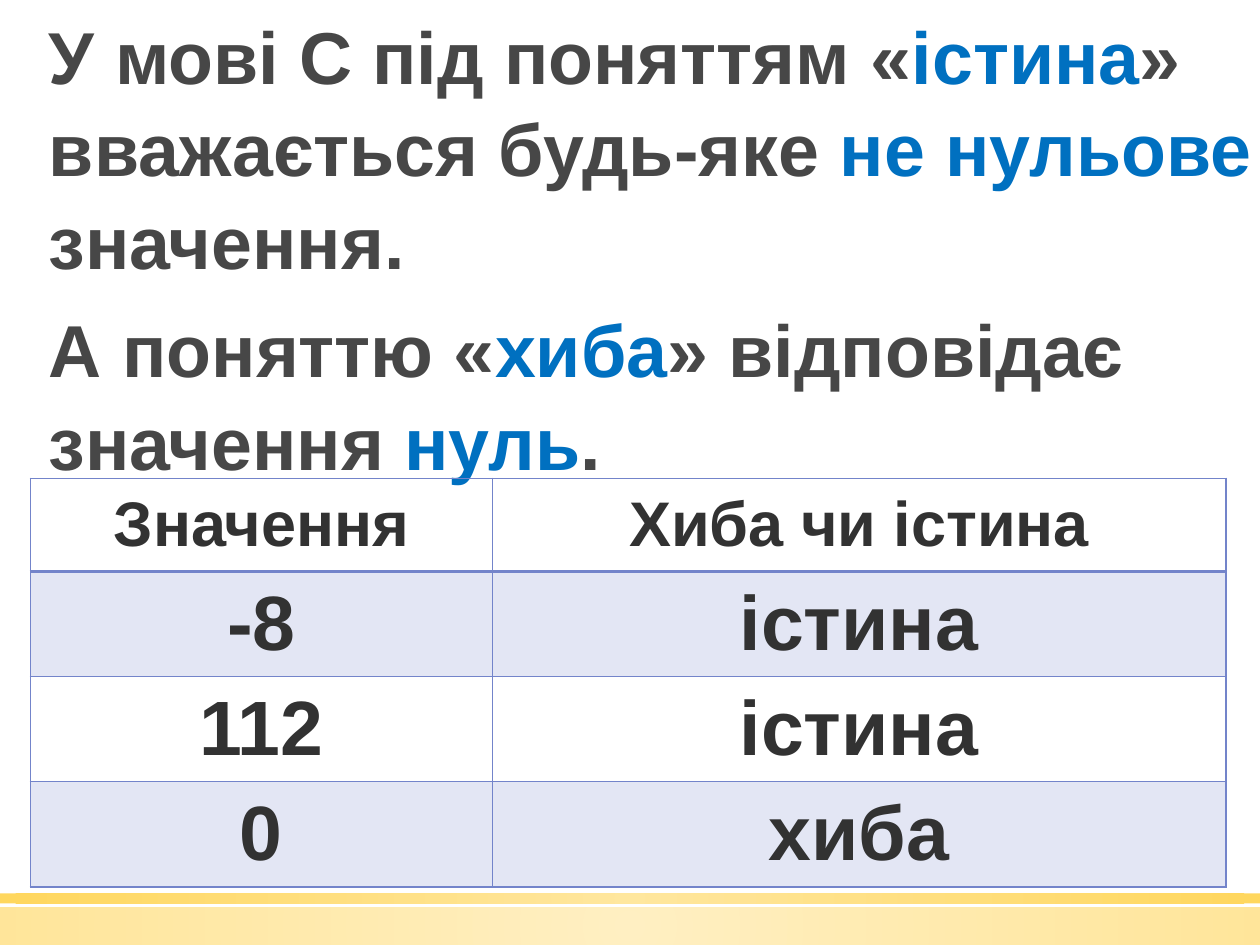
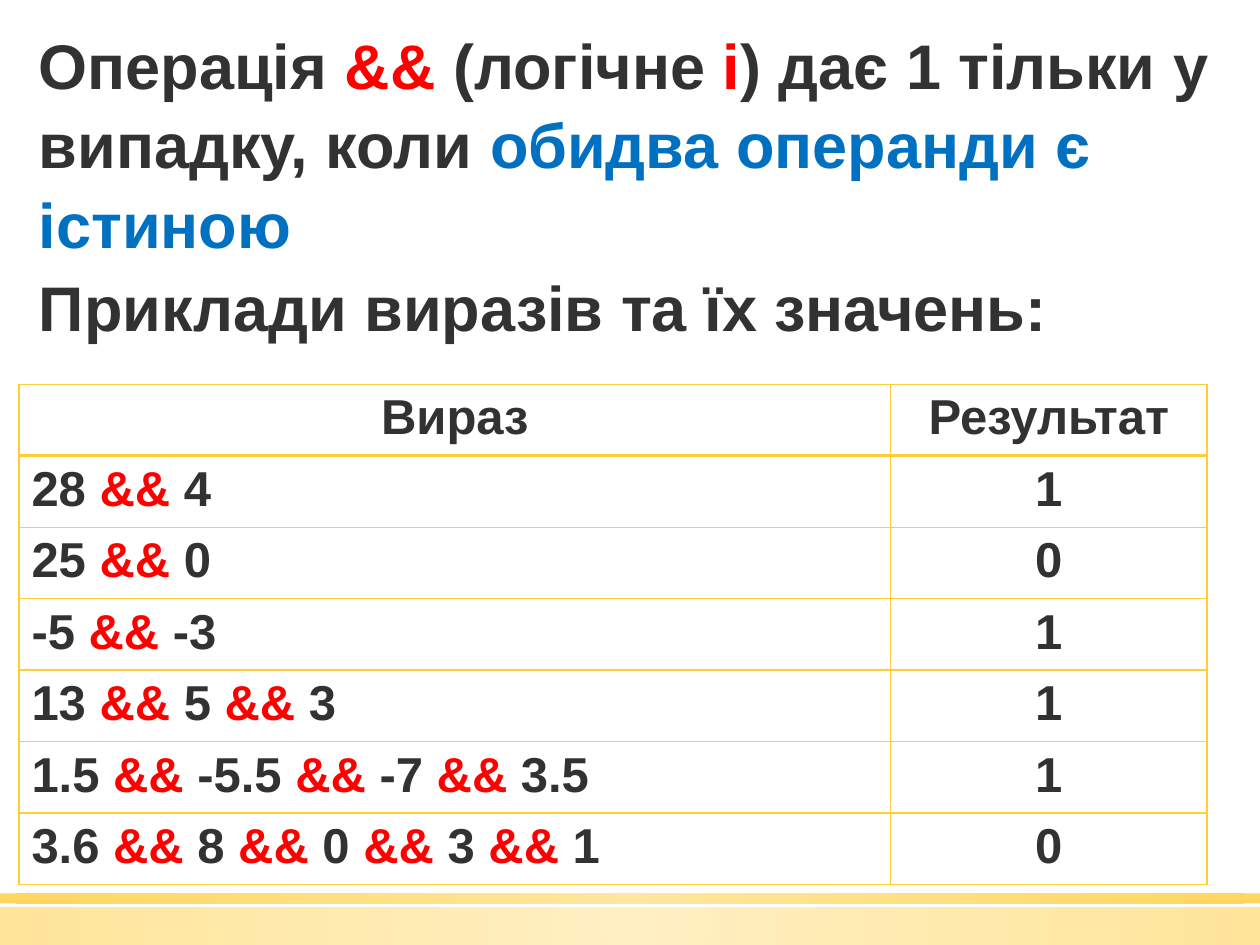
"""Builds two slides on truth values and logical AND in C."""
from lxml import etree
from pptx import Presentation
from pptx.dml.color import RGBColor
from pptx.enum.shapes import MSO_SHAPE
from pptx.enum.text import MSO_ANCHOR, PP_ALIGN
from pptx.oxml import parse_xml
from pptx.util import Pt

RECT = MSO_SHAPE.RECTANGLE
LEFT, CENTER = PP_ALIGN.LEFT, PP_ALIGN.CENTER
TOP, MIDDLE = MSO_ANCHOR.TOP, MSO_ANCHOR.MIDDLE
NS = "http://schemas.openxmlformats.org/drawingml/2006/main"
INK = {"gray": "474747", "dark": "323232", "blue": "0070C0", "red": "FF0000",
       "pale": "FFE186", "gold": "FFCD36", "iris": "7384CA", "white": "FFFFFF"}
BANDS = [(518.4, 21.6, 50), (510.5, 5.8, 80)]


def write(para, text, size, base, align=LEFT):
    para.alignment = align
    for i, part in enumerate(text.split("|")):
        for j, bit in enumerate(part.split("^")):
            if not bit:
                continue
            run = para.add_run()
            run.text = bit
            look = {"name": "Arial", "size": Pt(size), "bold": True}
            for key, val in look.items():
                setattr(run.font, key, val)
            tone = "red" if i % 2 else "blue" if j % 2 else base
            run.font.color.rgb = RGBColor.from_string(INK[tone])


def paint(tone, alpha=100):
    return (f'<a:srgbClr xmlns:a="{NS}" val="{INK[tone]}">'
            f'<a:alpha val="{alpha * 1000}"/></a:srgbClr>')


pages = [
    {"texts": [
        ((17.3, 0, 716.4, 64), 42, "gray", 3.6, 18,
         "У мові С під поняттям «^істина^» вважається будь-яке "
         "^не нульове ^значення."),
        ((17.3, 167.8, 716.4, 64), 42, "gray", 3.6, 18,
         "А поняттю «^хиба^» відповідає значення ^нуль^.")],
     "spot": (17.3, 273.4), "cols": [264.2, 419], "rows": [53.3] + [59.9] * 3,
     "sizes": (36, 44), "line": "iris", "anchor": MIDDLE, "first": CENTER,
     "band": [None, ("iris", 20)],
     "data": [("Значення", "Хиба чи істина"), ("-8", "істина"),
              ("112", "істина"), ("0", "хиба")]},
    {"texts": [
        ((15.1, 147.6, 709.2, 51.1), 36, "dark", 0, 0,
         "Приклади виразів та їх значень:"),
        ((15.1, 9.4, 700.6, 138.2), 36, "dark", 0, 0,
         "Операція |&& |(логічне |і|) дає 1 тільки у випадку, коли "
         "^обидва операнди є істиною ")],
     "spot": (10.8, 219.6), "cols": [498.2, 180.7], "rows": [40.85] * 7,
     "sizes": (28, 28), "line": "gold", "anchor": TOP, "first": LEFT,
     "band": [("white", 100)] * 2,
     "data": [("Вираз", "Результат"), ("28 && 4", "1"), ("25 && 0", "0"),
              ("-5 && -3", "1"), ("13 && 5 && 3", "1"),
              ("1.5 && -5.5 && -7 && 3.5", "1"),
              ("3.6 && 8 && 0 && 3 && 1", "0")]},
]

deck = Presentation()
deck.slide_width, deck.slide_height = Pt(720), Pt(540)

for page in pages:
    slide = deck.slides.add_slide(deck.slide_layouts[6])

    for top, high, alpha in BANDS:
        band = slide.shapes.add_shape(RECT, 0, Pt(top), Pt(720), Pt(high))
        band.shadow.inherit = False
        band.line.fill.background()
        band.fill.background()
        props = band.fill._xPr
        blank = props.find(f"{{{NS}}}noFill")
        props.replace(blank, parse_xml(
            f'<a:gradFill xmlns:a="{NS}" rotWithShape="1"><a:gsLst>'
            f'<a:gs pos="0">{paint("pale", alpha)}</a:gs>'
            f'<a:gs pos="100000">{paint("gold", alpha)}</a:gs></a:gsLst>'
            '<a:path path="circle"><a:fillToRect l="50000" t="50000" '
            'r="50000" b="50000"/></a:path></a:gradFill>'))

    for box, size, base, inset, before, text in page["texts"]:
        frame = slide.shapes.add_textbox(*map(Pt, box)).text_frame
        frame.word_wrap = True
        para = frame.paragraphs[0]
        para.space_before = Pt(before)
        para.line_spacing = 1.05
        write(para, text, size, base)
        para._p.get_or_add_pPr().set("marL", str(Pt(inset)))

    cols, rows, data = page["cols"], page["rows"], page["data"]
    grid = slide.shapes.add_table(
        len(rows), len(cols), *map(Pt, page["spot"]),
        Pt(sum(cols)), Pt(sum(rows))).table
    grid.horz_banding = False
    for col, wide in zip(grid.columns, cols):
        col.width = Pt(wide)
    for r, (row, high) in enumerate(zip(grid.rows, rows)):
        row.height = Pt(high)
        for c, cell in enumerate(row.cells):
            cell.vertical_anchor = page["anchor"]
            align = page["first"] if r and c == 0 else CENTER
            text = data[r][c].replace("&&", "|&&|")
            write(cell.text_frame.paragraphs[0], text,
                  page["sizes"][min(r, 1)], "dark", align)
            props = cell._tc.get_or_add_tcPr()
            for side in "LRTB":
                thick = 2 if (r, side) in ((0, "B"), (1, "T")) else 1
                edge = etree.SubElement(props, f"{{{NS}}}ln{side}",
                                        w=str(Pt(thick)))
                solid = etree.SubElement(edge, f"{{{NS}}}solidFill")
                solid.append(parse_xml(paint(page["line"])))
            fill = page["band"][r % 2]
            if fill:
                solid = etree.SubElement(props, f"{{{NS}}}solidFill")
                solid.append(parse_xml(paint(*fill)))
            else:
                cell.fill.background()

deck.save("out.pptx")
